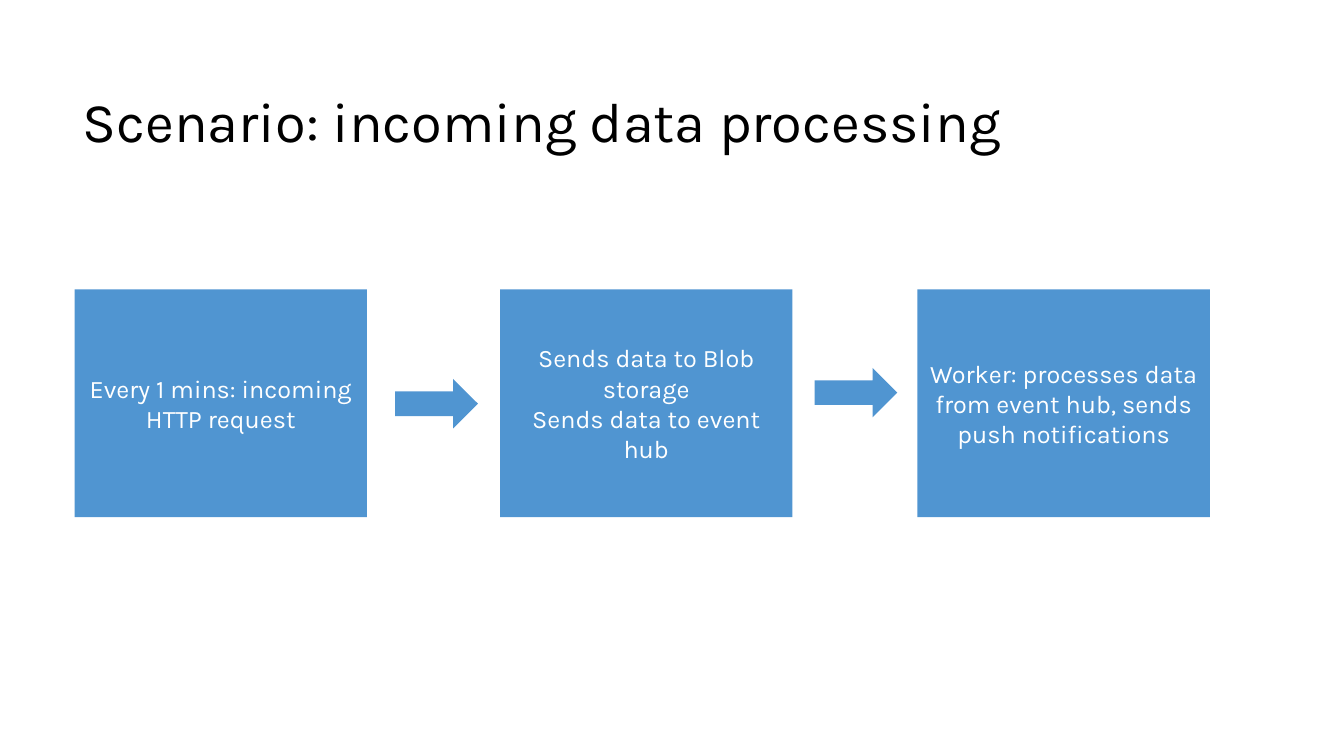
from pptx import Presentation
from pptx.dml.color import RGBColor
from pptx.enum.shapes import MSO_SHAPE
from pptx.enum.text import MSO_ANCHOR, PP_ALIGN
from pptx.util import Inches, Pt

BLUE, WHITE, BLACK = "5095D1", "FFFFFF", "000000"


def color(value):
    return RGBColor.from_string(value)


def add_run(p, text, size, value):
    r = p.add_run()
    r.text = text
    r.font.name = "Karla"
    r.font.size = Pt(size)
    r.font.color.rgb = color(value)


def add_title(s, text, left, top, width, height):
    title = s.shapes.title
    title.left, title.top = Inches(left), Inches(top)
    title.width, title.height = Inches(width), Inches(height)
    tf = title.text_frame
    tf.word_wrap = True
    tf.vertical_anchor = MSO_ANCHOR.MIDDLE
    p = tf.paragraphs[0]
    p.alignment = PP_ALIGN.LEFT
    p.line_spacing = 0.9
    add_run(p, text, 40, BLACK)


def add_block(s, kind, left, top, width, height):
    sp = s.shapes.add_shape(kind, Inches(left), Inches(top), Inches(width), Inches(height))
    sp.shadow.inherit = False
    sp.fill.solid()
    sp.fill.fore_color.rgb = color(BLUE)
    sp.line.fill.background()
    return sp


def add_step(s, lines, left, top, width, height):
    tf = add_block(s, MSO_SHAPE.RECTANGLE, left, top, width, height).text_frame
    tf.word_wrap = True
    tf.vertical_anchor = MSO_ANCHOR.MIDDLE
    for i, line in enumerate(lines):
        p = tf.add_paragraph() if i else tf.paragraphs[0]
        p.alignment = PP_ALIGN.CENTER
        add_run(p, line, 18, WHITE)


def add_flow(s, left, top, width, height):
    step_width = 2.9
    steps = [
        (0, ["Every 1 mins: incoming HTTP request"]),
        (4.22, ["Sends data to Blob storage", "Sends data to event hub"]),
        (width - step_width, ["Worker: processes data from event hub, sends push notifications"]),
    ]
    for dx, lines in steps:
        add_step(s, lines, left + dx, top, step_width, height)
    for dx, dy in [(3.18, 0.89), (7.34, 0.78)]:
        add_block(s, MSO_SHAPE.RIGHT_ARROW, left + dx, top + dy, 0.82, 0.49)


def main():
    prs = Presentation()
    prs.slide_width, prs.slide_height = Inches(13.33), Inches(7.5)
    s = prs.slides.add_slide(prs.slide_layouts[5])
    s.background.fill.solid()
    s.background.fill.fore_color.rgb = color(WHITE)
    add_title(s, "Scenario: incoming data processing", 0.72, 0.42, 11.28, 1.62)
    add_flow(s, 0.74, 2.87, 11.26, 2.26)
    prs.save("out.pptx")


if __name__ == "__main__":
    main()
